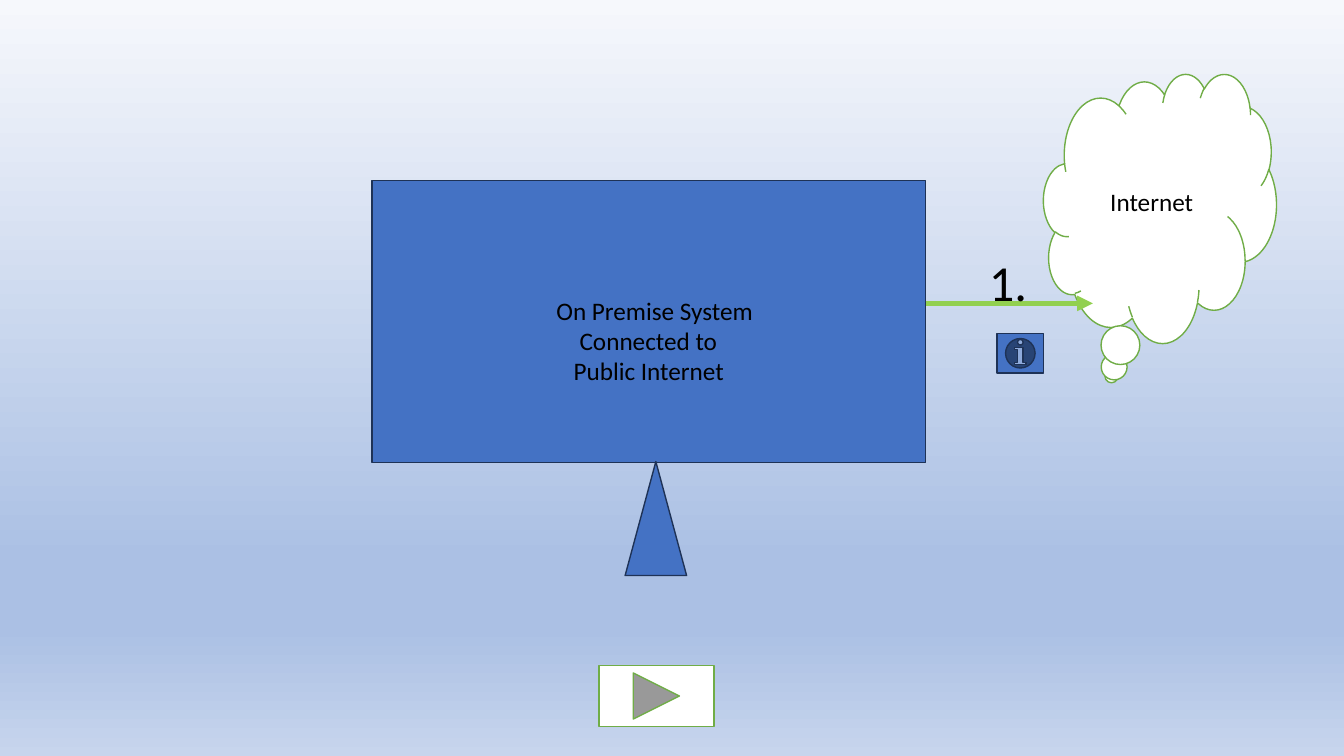
from dataclasses import dataclass

from lxml.etree import SubElement
from pptx import Presentation
from pptx.dml.color import RGBColor
from pptx.enum.shapes import MSO_CONNECTOR as Link, MSO_SHAPE as Kind
from pptx.enum.text import MSO_ANCHOR as Anchor, PP_ALIGN as Align
from pptx.oxml.ns import qn
from pptx.util import Inches, Pt

COLORS = {
    "blue": "4472C4", "navy": "1E3256", "white": "FFFFFF",
    "green": "70AD47", "lime": "92D050", "black": "000000",
}
STOPS = [(0, "F6F8FC"), (74, "ABC0E4"), (83, "ABC0E4"), (100, "C7D5ED")]


@dataclass
class Part:
    kind: Kind
    left: float
    top: float
    width: float
    height: float
    fill: str
    line: str
    text: str = ""


@dataclass
class Label:
    left: float
    top: float
    width: float
    height: float
    size: int
    lines: list[tuple[str, float]]  # text and left indent


def color(name: str) -> RGBColor:
    return RGBColor.from_string(COLORS[name])


def style(para, text: str, size: int) -> None:
    para.text = text
    para.font.size = Pt(size)
    para.font.name = "Calibri"
    para.font.color.rgb = color("black")


def paint(slide) -> None:
    fill = slide.background.fill
    fill.gradient()
    fill.gradient_angle = 270
    stops = slide.element.find(".//" + qn("a:gsLst"))
    for old in list(stops):
        stops.remove(old)
    for pos, tint in STOPS:
        stop = SubElement(stops, qn("a:gs"), pos=str(pos * 1000))
        SubElement(stop, qn("a:srgbClr"), val=tint)


def draw(slide, part: Part) -> None:
    box = map(Inches, (part.left, part.top, part.width, part.height))
    shape = slide.shapes.add_shape(part.kind, *box)
    shape.shadow.inherit = False
    shape.fill.solid()
    shape.fill.fore_color.rgb = color(part.fill)
    shape.line.color.rgb = color(part.line)
    shape.line.width = Pt(1)
    if part.text:
        frame = shape.text_frame
        frame.vertical_anchor = Anchor.MIDDLE
        para = frame.paragraphs[0]
        para.alignment = Align.CENTER
        style(para, part.text, 18)


def write(slide, label: Label) -> None:
    box = map(Inches, (label.left, label.top, label.width, label.height))
    frame = slide.shapes.add_textbox(*box).text_frame
    frame.word_wrap = True
    for i, (text, indent) in enumerate(label.lines):
        para = frame.paragraphs[0] if i == 0 else frame.add_paragraph()
        style(para, text, label.size)
        if indent:
            props = para._p.get_or_add_pPr()
            props.set("marL", str(Inches(indent)))
            props.set("indent", "0")


def arrow(slide, start: float, end: float, level: float) -> None:
    line = slide.shapes.add_connector(
        Link.STRAIGHT, *map(Inches, (start, level, end, level)))
    line.line.color.rgb = color("lime")
    line.line.width = Pt(3.75)
    SubElement(line.line._get_or_add_ln(), qn("a:tailEnd"), type="triangle")
    SubElement(line._element.spPr, qn("a:effectLst"))


SCREEN = [
    Part(Kind.RECTANGLE, 3.69, 1.79, 5.49, 2.8, "blue", "navy"),
    Part(Kind.ISOSCELES_TRIANGLE, 6.2, 4.58, 0.61, 1.13, "blue", "navy"),
    Part(Kind.CLOUD_CALLOUT, 10.35, 0.73, 2.31, 2.67, "white", "green",
         "Internet"),
]
BUTTONS = [
    Part(Kind.ACTION_BUTTON_FORWARD_OR_NEXT, 5.94, 6.6, 1.14, 0.61,
         "white", "green"),
    Part(Kind.ACTION_BUTTON_INFORMATION, 9.89, 3.31, 0.46, 0.39,
         "blue", "navy"),
]
SYSTEM = Label(5.42, 2.88, 3.91, 1.01, 18, [
    ("On Premise System", 0),
    ("Connected to", 0.23),
    ("Public Internet", 0.17),
])
STEP = Label(9.71, 2.44, 0.61, 0.71, 36, [("1.", 0)])


def main() -> None:
    deck = Presentation()
    deck.slide_width, deck.slide_height = Inches(13.33), Inches(7.5)
    slide = deck.slides.add_slide(deck.slide_layouts[6])
    paint(slide)

    # Screen, stand and cloud
    for part in SCREEN:
        draw(slide, part)
    write(slide, SYSTEM)

    # Link to the cloud
    arrow(slide, 9.18, 10.84, 3.01)

    # Buttons and step number
    for part in BUTTONS:
        draw(slide, part)
    write(slide, STEP)

    deck.save("out.pptx")


if __name__ == "__main__":
    main()
